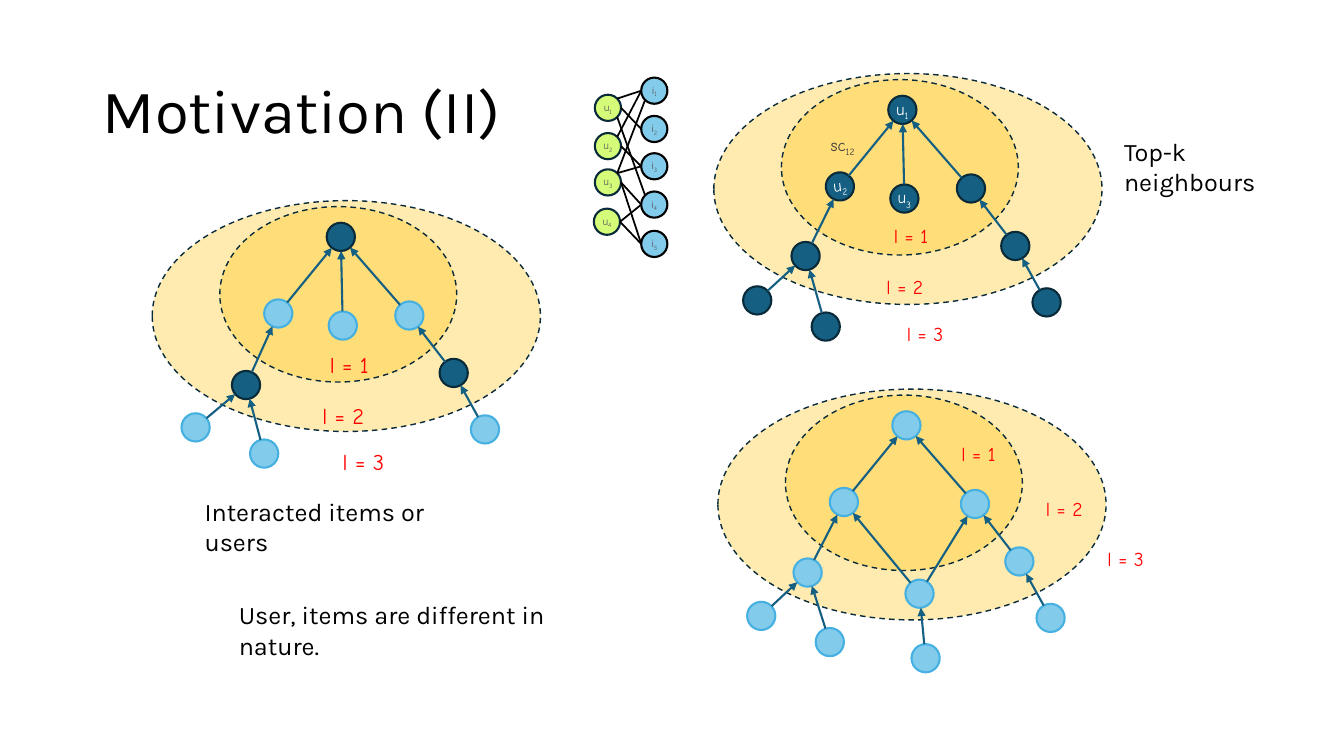
"""Build the Motivation (II) slide with three neighbourhood trees and a user-item graph."""
from dataclasses import dataclass, field
from math import atan2, cos, radians, sin

from lxml.etree import SubElement
from pptx import Presentation
from pptx.dml.color import RGBColor
from pptx.enum.dml import MSO_LINE
from pptx.enum.shapes import MSO_CONNECTOR, MSO_SHAPE
from pptx.enum.text import MSO_ANCHOR, MSO_AUTO_SIZE, PP_ALIGN
from pptx.oxml.ns import qn
from pptx.shapes.autoshape import Shape
from pptx.slide import Slide
from pptx.text.text import TextFrame
from pptx.util import Inches, Pt

BLACK = RGBColor(0x00, 0x00, 0x00)
WHITE = RGBColor(0xFF, 0xFF, 0xFF)
GREY = RGBColor(0x59, 0x59, 0x59)
DARK_GREY = RGBColor(0x3A, 0x3A, 0x3A)
RED = RGBColor(0xFF, 0x00, 0x00)
AMBER = RGBColor(0xFF, 0xC0, 0x00)
TEAL = RGBColor(0x15, 0x60, 0x82)
NAVY = RGBColor(0x09, 0x2A, 0x39)
SKY = RGBColor(0x83, 0xCB, 0xEB)
SKY_EDGE = RGBColor(0x46, 0xB1, 0xE1)
LIME = RGBColor(0xD5, 0xFC, 0x79)

HEADING_FONT = "Karla"
LABEL_FONT = "Comic Neue"
TREE_RADIUS = 0.14
GRAPH_RADIUS = 0.13

Point = tuple[float, float]


@dataclass(frozen=True)
class Paint:
    fill: RGBColor
    line: RGBColor


USER = Paint(TEAL, NAVY)
ITEM = Paint(SKY, SKY_EDGE)
GRAPH_USER = Paint(LIME, NAVY)
GRAPH_ITEM = Paint(SKY, BLACK)

TREE_NODES: dict[str, Point] = {
    "root": (1.87, 0.36), "left": (1.25, 1.12), "middle": (1.89, 1.24),
    "right": (2.55, 1.14), "left branch": (0.91, 1.81), "right branch": (2.99, 1.71),
    "outer leaf": (0.43, 2.25), "inner leaf": (1.11, 2.51), "right leaf": (3.3, 2.27),
}
TREE_EDGES = [
    ("left", "root"), ("middle", "root"), ("right", "root"),
    ("left branch", "left"), ("outer leaf", "left branch"),
    ("inner leaf", "left branch"), ("right branch", "right"),
    ("right leaf", "right branch"),
]
LEVELS: list[Point] = [(1.49, 1.44), (1.43, 1.95), (1.63, 2.41)]


@dataclass(frozen=True)
class Tree:
    left: float
    top: float
    users: set[str]
    moved: dict[str, Point] = field(default_factory=dict)
    edges: list[tuple[str, str]] = field(default_factory=lambda: TREE_EDGES)
    levels: list[Point] = field(default_factory=lambda: LEVELS)
    level_size: float = 14
    subscripts: dict[str, str] = field(default_factory=dict)
    tilts: dict[str, float] = field(default_factory=dict)


@dataclass(frozen=True)
class Caption:
    text: str
    left: float
    top: float
    width: float


@dataclass(frozen=True)
class Link:
    user: int
    user_angle: float
    item: int
    item_angle: float


TREES = [
    Tree(1.51, 1.99, {"root", "left branch", "right branch"},
         moved={"left branch": (0.93, 1.83)}, level_size=16),
    Tree(7.08, 0.73, set(TREE_NODES),
         subscripts={"root": "1", "left": "2", "middle": "3"}, tilts={"left": -7.8}),
    Tree(7.12, 3.86, set(),
         moved={"middle": (2.0, 2.03), "middle leaf": (2.06, 2.67),
                "left branch": (0.89, 1.82)},
         edges=[edge for edge in TREE_EDGES if edge != ("middle", "root")]
         + [("middle", "left"), ("middle", "right"), ("middle leaf", "middle")],
         levels=[(2.12, 0.47), (2.97, 1.02), (3.58, 1.52)]),
]
CAPTIONS = [
    Caption("Top-k neighbours", 11.05, 1.3, 2.06),
    Caption("Interacted items or users", 1.93, 4.87, 2.91),
    Caption("User, items are different in nature.", 2.27, 5.9, 3.87),
]
GRAPH_USERS: list[Point] = [(6.03, 1.07), (6.03, 1.45), (6.03, 1.81), (6.02, 2.2)]
GRAPH_ITEMS: list[Point] = [(6.49, y) for y in (0.9, 1.28, 1.65, 2.03, 2.42)]
LINKS = [
    Link(1, -45, 1, 180), Link(1, 0, 2, 180), Link(1, 45, 4, 225),
    Link(2, -45, 1, 180), Link(2, 0, 3, 180), Link(3, -45, 1, 135),
    Link(3, -45, 3, 180), Link(3, 0, 4, 180), Link(3, 0, 5, 180),
    Link(4, 0, 4, 180), Link(4, 0, 5, 180),
]


def write(frame: TextFrame, text: str, *, subscript: str = "", size: float = 18,
          font: str = LABEL_FONT, color: RGBColor = BLACK,
          align: PP_ALIGN = PP_ALIGN.LEFT, wrap: bool = True) -> None:
    frame.word_wrap = wrap
    paragraph = frame.paragraphs[0]
    paragraph.alignment = align
    for part in filter(None, (text, subscript)):
        run = paragraph.add_run()
        run.text = part
        run.font.size, run.font.name = Pt(size), font
        run.font.color.rgb = color
    if subscript:
        run._r.get_or_add_rPr().set("baseline", "-25000")


def text_box(slide: Slide, left: float, top: float, width: float, height: float) -> TextFrame:
    box = slide.shapes.add_textbox(Inches(left), Inches(top), Inches(width), Inches(height))
    return box.text_frame


def ellipse(slide: Slide, left: float, top: float, width: float, height: float,
            paint: Paint, weight: float = 1.5) -> Shape:
    shape = slide.shapes.add_shape(
        MSO_SHAPE.OVAL, Inches(left), Inches(top), Inches(width), Inches(height))
    shape.shadow.inherit = False
    shape.fill.solid()
    shape.fill.fore_color.rgb = paint.fill
    shape.line.color.rgb = paint.line
    shape.line.width = Pt(weight)
    return shape


def node(slide: Slide, center: Point, radius: float, paint: Paint, *, letter: str = "",
         subscript: str = "", size: float = 12, color: RGBColor = WHITE,
         tilt: float = 0) -> None:
    x, y = center
    circle = ellipse(slide, x - radius, y - radius, 2 * radius, 2 * radius, paint)
    circle.rotation = tilt
    if letter:
        frame = circle.text_frame
        frame.margin_left = frame.margin_right = frame.margin_top = frame.margin_bottom = 0
        frame.vertical_anchor = MSO_ANCHOR.MIDDLE
        write(frame, letter, subscript=subscript, size=size, color=color,
              align=PP_ALIGN.CENTER, wrap=False)


def zone(slide: Slide, left: float, top: float, width: float, height: float) -> None:
    region = ellipse(slide, left, top, width, height, Paint(AMBER, NAVY), 1)
    region.line.dash_style = MSO_LINE.DASH
    color = region._element.spPr.find(qn("a:solidFill"))[0]
    SubElement(color, qn("a:alpha")).set("val", "31000")


def rim(center: Point, radius: float, angle: float) -> Point:
    return center[0] + radius * cos(angle), center[1] + radius * sin(angle)


def connect(slide: Slide, start: Point, end: Point, color: RGBColor, weight: float,
            arrow: bool = False) -> None:
    line = slide.shapes.add_connector(
        MSO_CONNECTOR.STRAIGHT, *(Inches(value) for value in (*start, *end)))
    line.line.color.rgb = color
    line.line.width = Pt(weight)
    if arrow:
        SubElement(line.line._get_or_add_ln(), qn("a:tailEnd")).set("type", "triangle")
    SubElement(line._element.spPr, qn("a:effectLst"))


def draw_tree(slide: Slide, tree: Tree) -> None:
    zone(slide, tree.left, tree.top, 3.85, 2.29)
    zone(slide, tree.left + 0.67, tree.top + 0.06, 2.35, 1.74)
    centers = {name: (tree.left + x, tree.top + y)
               for name, (x, y) in (TREE_NODES | tree.moved).items()}
    for name, center in centers.items():
        subscript = tree.subscripts.get(name, "")
        node(slide, center, TREE_RADIUS, USER if name in tree.users else ITEM,
             letter="u" if subscript else "", subscript=subscript,
             tilt=tree.tilts.get(name, 0))
    for child, parent in tree.edges:
        (x1, y1), (x2, y2) = centers[child], centers[parent]
        angle = atan2(y2 - y1, x2 - x1)
        connect(slide, rim((x1, y1), TREE_RADIUS, angle),
                rim((x2, y2), -TREE_RADIUS, angle), TEAL, 1.5, arrow=True)
    for level, (x, y) in enumerate(tree.levels, 1):
        write(text_box(slide, tree.left + x, tree.top + y, 0.93, 0.35), f"l = {level}",
              size=tree.level_size, color=RED, align=PP_ALIGN.CENTER)


def draw_graph(slide: Slide) -> None:
    for letter, centers, paint in (("u", GRAPH_USERS, GRAPH_USER),
                                   ("i", GRAPH_ITEMS, GRAPH_ITEM)):
        for number, center in enumerate(centers, 1):
            node(slide, center, GRAPH_RADIUS, paint, letter=letter,
                 subscript=str(number), size=7.9, color=GREY)
    for link in LINKS:
        connect(slide,
                rim(GRAPH_USERS[link.user - 1], GRAPH_RADIUS, radians(link.user_angle)),
                rim(GRAPH_ITEMS[link.item - 1], GRAPH_RADIUS, radians(link.item_angle)),
                BLACK, 1.25)


def draw_title(slide: Slide) -> None:
    title = slide.shapes.title
    title.left, title.top = Inches(0.92), Inches(0.4)
    title.width, title.height = Inches(11.5), Inches(1.45)
    frame = title.text_frame
    frame.auto_size = MSO_AUTO_SIZE.NONE
    frame.vertical_anchor = MSO_ANCHOR.MIDDLE
    write(frame, "Motivation (II)", size=44, font=HEADING_FONT)
    frame.paragraphs[0].line_spacing = 0.9


def main() -> None:
    deck = Presentation()
    deck.slide_width, deck.slide_height = Inches(13.33), Inches(7.5)
    slide = deck.slides.add_slide(deck.slide_layouts[5])
    draw_title(slide)
    for tree in TREES:
        draw_tree(slide, tree)
    for caption in CAPTIONS:
        write(text_box(slide, caption.left, caption.top, caption.width, 0.4),
              caption.text, font=HEADING_FONT)
    write(text_box(slide, 8.14, 1.29, 0.48, 0.3), "sc", subscript="12", size=12,
          color=DARK_GREY, wrap=False)
    draw_graph(slide)
    deck.save("out.pptx")


if __name__ == "__main__":
    main()
